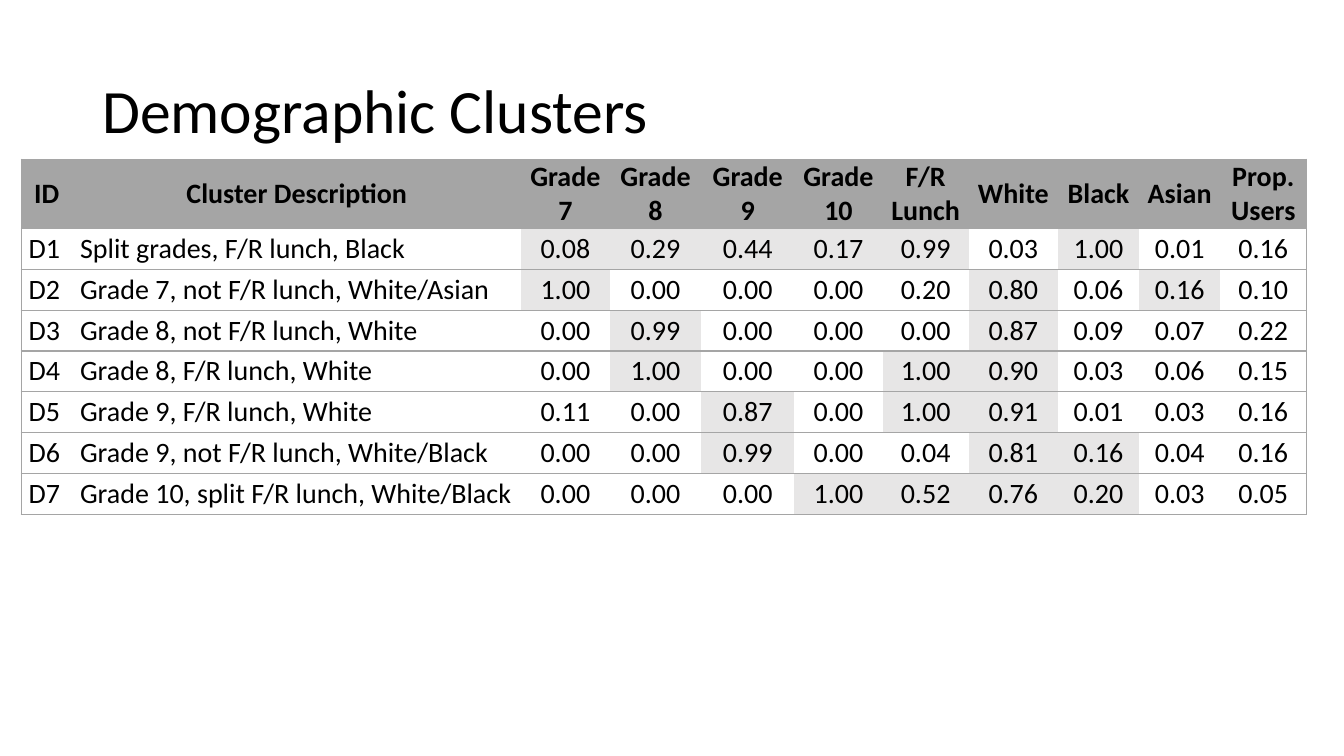
from lxml import etree
from pptx import Presentation
from pptx.dml.color import RGBColor
from pptx.enum.text import MSO_ANCHOR, PP_ALIGN
from pptx.oxml.ns import qn
from pptx.util import Pt

MIDDLE = MSO_ANCHOR.MIDDLE
CENTER = PP_ALIGN.CENTER
JUSTIFY = PP_ALIGN.JUSTIFY

FONT = "Calibri"
BLACK, WHITE, GRAY, HIGHLIGHT = "000000", "FFFFFF", "A5A5A5", "E7E6E6"

HEADINGS = ["ID", "Cluster Description", "Grade 7", "Grade 8", "Grade 9", "Grade 10",
            "F/R Lunch", "White", "Black", "Asian", "Prop. Users"]
COLUMN_WIDTHS = [36.7, 320.4, 63.4, 65.5, 66.2, 63.4, 61.2, 64.1, 57.6, 58.3, 61.2]
HEADER_HEIGHT, ROW_HEIGHT = 49.3, 29.2

# Description, values, and the headings whose values are highlighted
CLUSTERS = [
    ("Split grades, F/R lunch, Black",
     [0.08, 0.29, 0.44, 0.17, 0.99, 0.03, 1.00, 0.01, 0.16],
     {"Grade 7", "Grade 8", "Grade 9", "Grade 10", "F/R Lunch", "Black"}),
    ("Grade 7, not F/R lunch, White/Asian",
     [1.00, 0.00, 0.00, 0.00, 0.20, 0.80, 0.06, 0.16, 0.10],
     {"Grade 7", "White", "Asian"}),
    ("Grade 8, not F/R lunch, White",
     [0.00, 0.99, 0.00, 0.00, 0.00, 0.87, 0.09, 0.07, 0.22],
     {"Grade 8", "White"}),
    ("Grade 8, F/R lunch, White",
     [0.00, 1.00, 0.00, 0.00, 1.00, 0.90, 0.03, 0.06, 0.15],
     {"Grade 8", "F/R Lunch", "White"}),
    ("Grade 9, F/R lunch, White",
     [0.11, 0.00, 0.87, 0.00, 1.00, 0.91, 0.01, 0.03, 0.16],
     {"Grade 9", "F/R Lunch", "White"}),
    ("Grade 9, not F/R lunch, White/Black",
     [0.00, 0.00, 0.99, 0.00, 0.04, 0.81, 0.16, 0.04, 0.16],
     {"Grade 9", "White", "Black"}),
    ("Grade 10, split F/R lunch, White/Black",
     [0.00, 0.00, 0.00, 1.00, 0.52, 0.76, 0.20, 0.03, 0.05],
     {"Grade 10", "F/R Lunch", "White", "Black"}),
]


def color(hex_code):
    return RGBColor.from_string(hex_code)


def style_text(paragraph, size, bold=False):
    font = paragraph.runs[0].font
    font.name, font.size, font.bold = FONT, Pt(size), bold
    font.color.rgb = color(BLACK)


def add_title(slide, title):
    frame = slide.shapes.add_textbox(Pt(66), Pt(28.8), Pt(828), Pt(104.4)).text_frame
    frame.word_wrap = True
    frame.vertical_anchor = MIDDLE
    frame.text = title
    frame.paragraphs[0].line_spacing = 0.9
    style_text(frame.paragraphs[0], 44)


def set_borders(cell, drawn_edges):
    """Draw the given edges (of L, R, T, B) in gray and clear the others."""
    properties = cell._tc.get_or_add_tcPr()
    for edge in "LRTB":
        line = etree.SubElement(properties, qn(f"a:ln{edge}"), w=str(Pt(1)))
        if edge in drawn_edges:
            fill = etree.SubElement(line, qn("a:solidFill"))
            etree.SubElement(fill, qn("a:srgbClr"), val=GRAY)
        else:
            etree.SubElement(line, qn("a:noFill"))


def fill_cell(cell, text, background, alignment, edges, bold):
    set_borders(cell, edges)
    cell.fill.solid()
    cell.fill.fore_color.rgb = color(background)
    cell.margin_left = cell.margin_right = Pt(5.4)
    cell.margin_top = cell.margin_bottom = Pt(0)
    cell.vertical_anchor = MIDDLE
    cell.text_frame.text = text
    paragraph = cell.text_frame.paragraphs[0]
    paragraph.alignment = alignment
    paragraph.space_after = Pt(4)
    style_text(paragraph, 20, bold)


def add_cluster_table(slide):
    row_heights = [HEADER_HEIGHT] + [ROW_HEIGHT] * len(CLUSTERS)
    table = slide.shapes.add_table(
        len(row_heights), len(HEADINGS), Pt(15.1), Pt(113.8),
        Pt(sum(COLUMN_WIDTHS)), Pt(sum(row_heights))).table
    table.first_row = True
    table.horz_banding = False
    for column, width in zip(table.columns, COLUMN_WIDTHS):
        column.width = Pt(width)
    for row, height in zip(table.rows, row_heights):
        row.height = Pt(height)

    rows = [(HEADINGS, set())]
    for number, (description, values, highlighted) in enumerate(CLUSTERS, 1):
        texts = [f"D{number}", description] + [f"{value:.2f}" for value in values]
        rows.append((texts, highlighted))

    last = len(HEADINGS) - 1
    for r, (texts, highlighted) in enumerate(rows):
        is_header = r == 0
        for c, (heading, text) in enumerate(zip(HEADINGS, texts)):
            body_fill = HIGHLIGHT if heading in highlighted else WHITE
            edges = "TB" + {0: "L", last: "R"}.get(c, "")
            fill_cell(table.cell(r, c), text,
                      GRAY if is_header else body_fill,
                      CENTER if is_header or c > 1 else JUSTIFY,
                      edges, is_header)


def main():
    presentation = Presentation()
    presentation.slide_width, presentation.slide_height = Pt(960), Pt(540)
    slide = presentation.slides.add_slide(presentation.slide_layouts[6])
    add_title(slide, "Demographic Clusters")
    add_cluster_table(slide)
    presentation.save("out.pptx")


if __name__ == "__main__":
    main()
